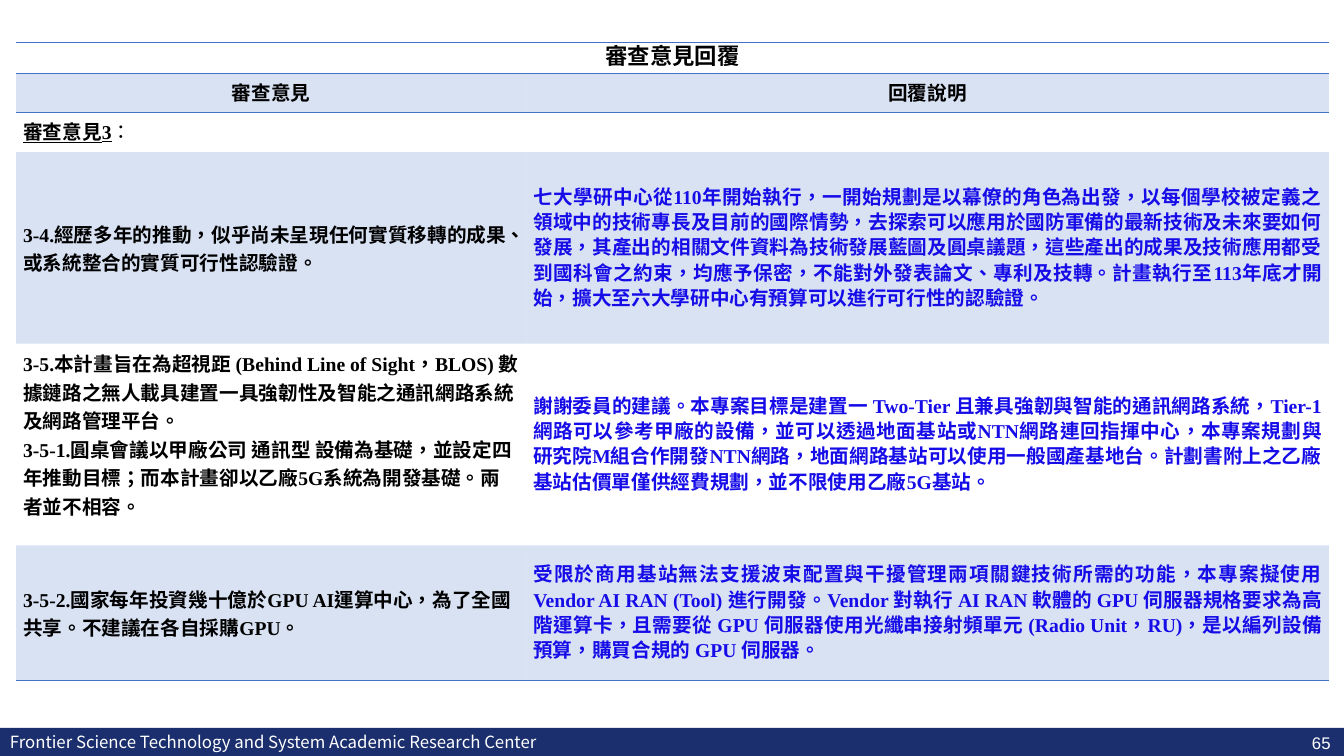
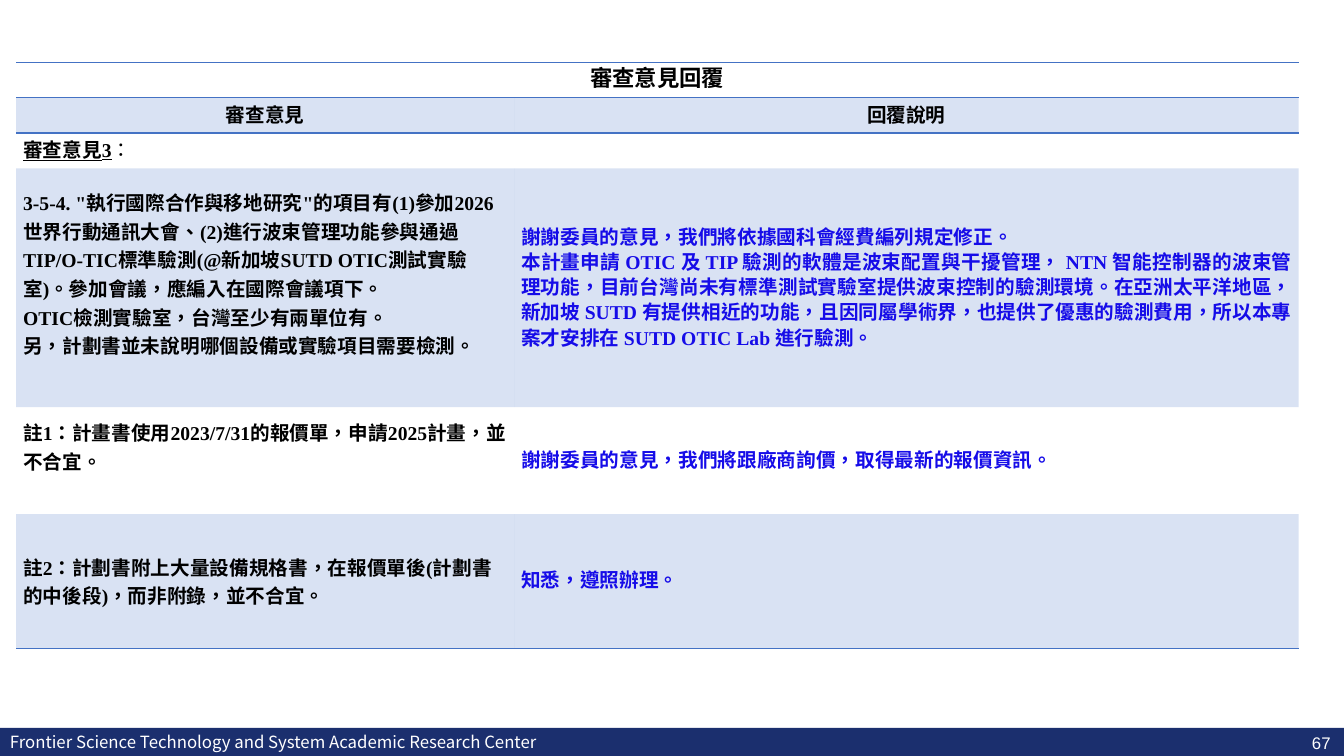
from dataclasses import dataclass

from lxml.etree import SubElement
from pptx import Presentation
from pptx.dml.color import RGBColor
from pptx.enum.shapes import MSO_SHAPE
from pptx.enum.text import MSO_ANCHOR, PP_ALIGN
from pptx.oxml import parse_xml
from pptx.oxml.ns import nsdecls, qn
from pptx.util import Pt

SCALE = 9144
PLAIN_TABLE_STYLE = "{2D5ABB26-0587-4C30-8999-92F81FD0307C}"


@dataclass(frozen=True)
class Theme:
    navy: str = "1B2F6E"
    accent: str = "4472C4"
    tint_alpha: int = 20000
    comment: str = "000000"
    reply: str = "160CE8"
    white: str = "FFFFFF"
    serif: str = "Times New Roman"
    sans: str = "Noto Sans CJK SC"
    number: str = "Arial"
    title_size: int = 16
    body_size: int = 14
    footer_size: int = 12
    line_pitch: int = 18


THEME = Theme()


def px(length):
    return length * SCALE


def set_attributes(target, values):
    for name, value in values.items():
        setattr(target, name, value)


def write_run(paragraph, text, color, size, name, **extra):
    run = paragraph.add_run()
    run.text = text
    set_attributes(run.font, {"size": Pt(size), "name": name, **extra})
    run.font.color.rgb = RGBColor.from_string(color)
    properties = run._r.get_or_add_rPr()
    properties.set("lang", "zh-TW")
    latin = properties.find(qn("a:latin"))
    latin.addnext(parse_xml(f'<a:ea {nsdecls("a")} typeface="{THEME.sans}"/>'))


def add_footer_text(slide, box, text, name, frame_format, alignment):
    frame = slide.shapes.add_textbox(*map(px, box)).text_frame
    set_attributes(frame, frame_format)
    paragraph = frame.paragraphs[0]
    paragraph.alignment = alignment
    write_run(paragraph, text, THEME.white, THEME.footer_size, name)


def add_footer(slide, number, left=0, top=722, width=1333, height=28):
    band = slide.shapes.add_shape(MSO_SHAPE.RECTANGLE, *map(px, (left, top, width, height)))
    band.shadow.inherit = False
    band.fill.solid()
    band.fill.fore_color.rgb = RGBColor.from_string(THEME.navy)
    band.line.fill.background()
    add_footer_text(
        slide, (left, top - 1, 551, 30),
        "Frontier Science Technology and System Academic Research Center",
        THEME.sans, {"word_wrap": False}, PP_ALIGN.LEFT,
    )
    add_footer_text(
        slide, (left + width - 52, top - 3, 59, 35), number, THEME.number,
        {"word_wrap": True, "vertical_anchor": MSO_ANCHOR.MIDDLE}, PP_ALIGN.CENTER,
    )


def prepare_cell(cell, tinted, edges, reserve=0):
    set_attributes(cell, {
        "margin_left": px(7), "margin_right": px(7),
        "margin_top": 0, "margin_bottom": px(reserve),
        "vertical_anchor": MSO_ANCHOR.MIDDLE,
    })
    cell.text_frame.paragraphs[0].line_spacing = Pt(THEME.line_pitch)
    properties = cell._tc.get_or_add_tcPr()
    if tinted:
        cell.fill.solid()
        cell.fill.fore_color.rgb = RGBColor.from_string(THEME.accent)
        color = properties.find(qn("a:solidFill"))[0]
        SubElement(color, qn("a:alpha"), val=str(THEME.tint_alpha))
    else:
        cell.fill.background()
    for position, edge in enumerate(edges):
        properties.insert(position, parse_xml(
            f'<a:ln{edge} {nsdecls("a")} w="{Pt(1)}"><a:solidFill>'
            f'<a:srgbClr val="{THEME.accent}"/></a:solidFill></a:ln{edge}>'
        ))


def write_cell(cell, texts, alignment, color=THEME.comment, size=THEME.body_size, pitch=THEME.line_pitch):
    frame = cell.text_frame
    for index, text in enumerate(texts):
        paragraph = frame.add_paragraph() if index else frame.paragraphs[0]
        set_attributes(paragraph, {
            "alignment": alignment,
            "line_spacing": Pt(pitch) if pitch else None,
        })
        write_run(paragraph, text, color, size, THEME.serif, bold=True)


def write_section(cell):
    paragraph = cell.text_frame.paragraphs[0]
    paragraph.alignment = PP_ALIGN.JUSTIFY
    for text, marked in (("審查意見3", True), ("：", False)):
        write_run(paragraph, text, THEME.comment, THEME.body_size, THEME.serif,
                  bold=marked, underline=marked)


def add_review_table(slide, left, top, columns, heights, reviews):
    frame = slide.shapes.add_table(
        len(heights), len(columns), *map(px, (left, top, sum(columns), sum(heights)))
    )
    table = frame.table
    set_attributes(table, {"first_row": False, "horz_banding": False})
    table._tbl.tblPr.find(qn("a:tableStyleId")).text = PLAIN_TABLE_STYLE
    for column, width in zip(table.columns, columns):
        column.width = px(width)

    edges = {0: "TB", 1: "T", len(heights) - 1: "B"}
    reserves = {index: review[2] for index, review in enumerate(reviews, 3)}
    for index, (row, height) in enumerate(zip(table.rows, heights)):
        row.height = px(height)
        for column, cell in enumerate(row.cells):
            reserve = reserves.get(index, 0) if column == 0 else 0
            prepare_cell(cell, index % 2 == 1, edges.get(index, ""), reserve)

    title = table.cell(0, 0)
    title.merge(table.cell(0, 1))
    write_cell(title, ["審查意見回覆"], PP_ALIGN.CENTER, size=THEME.title_size)
    for column, heading in enumerate(("審查意見", "回覆說明")):
        write_cell(table.cell(1, column), [heading], PP_ALIGN.CENTER)
    write_section(table.cell(2, 0))
    for index, (comments, replies, _) in enumerate(reviews, 3):
        write_cell(table.cell(index, 0), comments, PP_ALIGN.LEFT, pitch=None)
        write_cell(table.cell(index, 1), replies, PP_ALIGN.JUSTIFY, color=THEME.reply)


def add_review_slide(presentation, number, **table):
    slide = presentation.slides.add_slide(presentation.slide_layouts[6])
    add_footer(slide, number)
    add_review_table(slide, **table)


SLIDES = [
    {
        "number": "65", "left": 16, "top": 42, "columns": (506, 796),
        "heights": (31, 39, 39, 190, 200, 134),
        "reviews": [
            (
                ["3-4.經歷多年的推動，似乎尚未呈現任何實質移轉的成果、或系統整合的實質可行性認驗證。"],
                ["七大學研中心從110年開始執行，一開始規劃是以幕僚的角色為出發，以每個學校被定義之"
                 "領域中的技術專長及目前的國際情勢，去探索可以應用於國防軍備的最新技術及未來要如何"
                 "發展，其產出的相關文件資料為技術發展藍圖及圓桌議題，這些產出的成果及技術應用都受"
                 "到國科會之約束，均應予保密，不能對外發表論文、專利及技轉。計畫執行至113年底才開"
                 "始，擴大至六大學研中心有預算可以進行可行性的認驗證。"],
                0,
            ),
            (
                ["3-5.本計畫旨在為超視距 (Behind Line of Sight，BLOS) 數據鏈路之無人載具建置一具"
                 "強韌性及智能之通訊網路系統及網路管理平台。",
                 "3-5-1.圓桌會議以甲廠公司 通訊型 設備為基礎，並設定四年推動目標；而本計畫卻以"
                 "乙廠5G系統為開發基礎。兩者並不相容。"],
                ["謝謝委員的建議。本專案目標是建置一 Two-Tier 且兼具強韌與智能的通訊網路系統，"
                 "Tier-1網路可以參考甲廠的設備，並可以透過地面基站或NTN網路連回指揮中心，本專案"
                 "規劃與研究院M組合作開發NTN網路，地面網路基站可以使用一般國產基地台。計劃書"
                 "附上之乙廠基站估價單僅供經費規劃，並不限使用乙廠5G基站。"],
                20,
            ),
            (
                ["3-5-2.國家每年投資幾十億於GPU AI運算中心，為了全國共享。不建議在各自採購GPU。"],
                ["受限於商用基站無法支援波束配置與干擾管理兩項關鍵技術所需的功能，本專案擬使用 "
                 "Vendor AI RAN (Tool) 進行開發。Vendor 對執行 AI RAN 軟體的 GPU 伺服器規格要"
                 "求為高階運算卡，且需要從 GPU 伺服器使用光纖串接射頻單元 (Radio Unit，RU)，是"
                 "以編列設備預算，購買合規的 GPU 伺服器。"],
                0,
            ),
        ],
    },
    {
        "number": "67", "left": 16, "top": 62, "columns": (494, 778),
        "heights": (35, 35, 35, 237, 106, 133),
        "reviews": [
            (
                ["3-5-4. \"執行國際合作與移地研究\"的項目有(1)參加2026 世界行動通訊大會、"
                 "(2)進行波束管理功能參與通過TIP/O-TIC標準驗測(@新加坡SUTD OTIC測試實驗室)。"
                 "參加會議，應編入在國際會議項下。",
                 "OTIC檢測實驗室，台灣至少有兩單位有。",
                 "另，計劃書並未說明哪個設備或實驗項目需要檢測。"],
                ["謝謝委員的意見，我們將依據國科會經費編列規定修正。",
                 "本計畫申請 OTIC 及 TIP 驗測的軟體是波束配置與干擾管理， NTN 智能控制器的波"
                 "束管理功能，目前台灣尚未有標準測試實驗室提供波束控制的驗測環境。在亞洲太平洋地"
                 "區，新加坡 SUTD 有提供相近的功能，且因同屬學術界，也提供了優惠的驗測費用，所"
                 "以本專案才安排在 SUTD OTIC Lab 進行驗測。"],
                28,
            ),
            (
                ["註1：計畫書使用2023/7/31的報價單，申請2025計畫，並不合宜。"],
                ["謝謝委員的意見，我們將跟廠商詢價，取得最新的報價資訊。"],
                28,
            ),
            (
                ["註2：計劃書附上大量設備規格書，在報價單後(計劃書的中後段)，而非附錄，並不合宜。"],
                ["知悉，遵照辦理。"],
                0,
            ),
        ],
    },
]


def main():
    presentation = Presentation()
    set_attributes(presentation, {"slide_width": px(1333), "slide_height": px(750)})
    for content in SLIDES:
        add_review_slide(presentation, **content)
    presentation.save("out.pptx")


if __name__ == "__main__":
    main()
